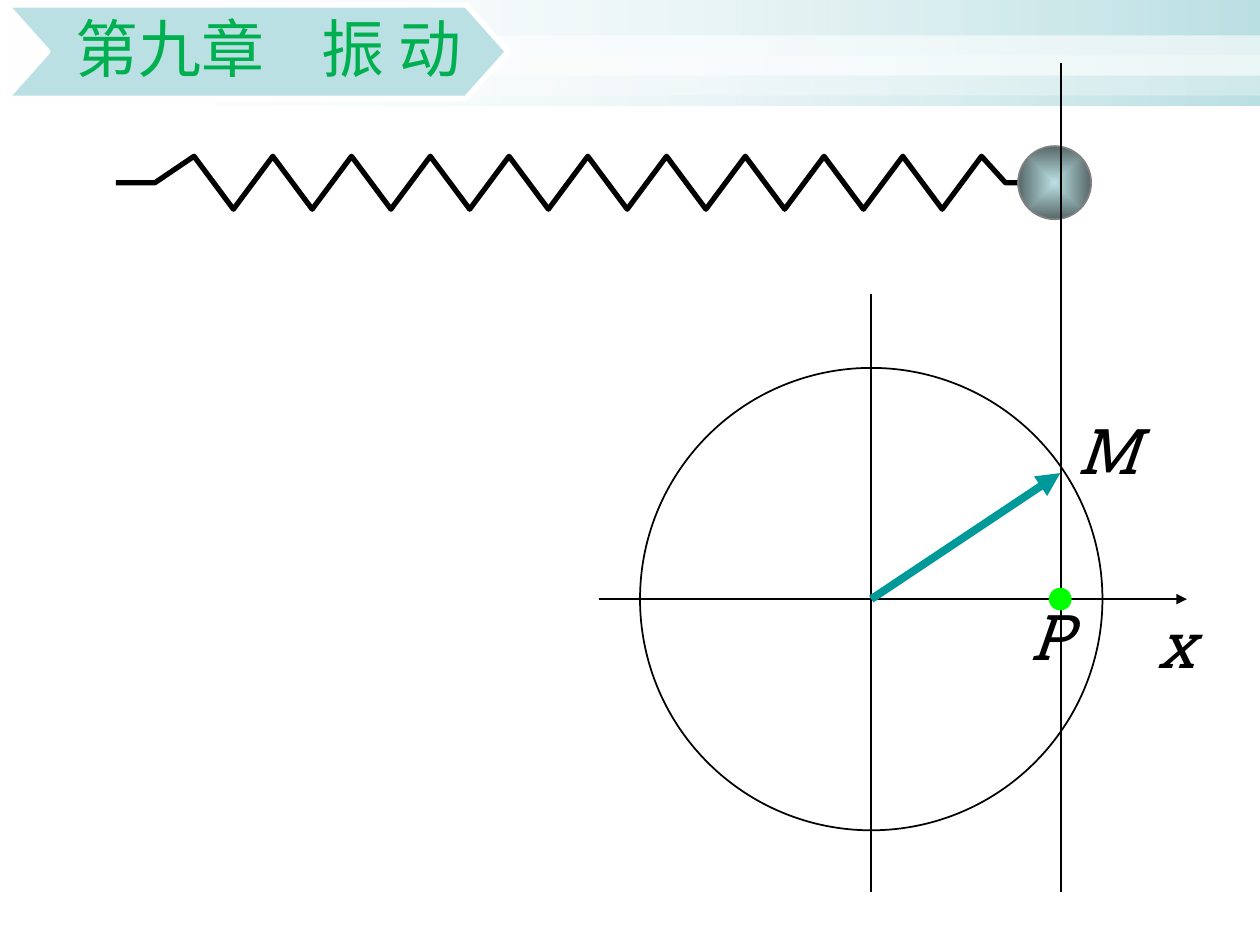
from lxml.etree import SubElement
from pptx import Presentation
from pptx.dml.color import RGBColor
from pptx.enum.shapes import MSO_CONNECTOR as CONN, MSO_SHAPE as SHAPE
from pptx.enum.text import MSO_ANCHOR, MSO_AUTO_SIZE, PP_ALIGN
from pptx.oxml.ns import qn
from pptx.util import Emu, Pt

PX = 9144  # 100 px to the inch
PALE, WHITE, BLACK = "BBE0E3", "FFFFFF", "000000"


def px(v):
    return Emu(round(v * PX))


def rgb(value):
    return RGBColor.from_string(value)


def style(sp, fill=None, line=None, width=1):
    sp.shadow.inherit = False
    if fill:
        sp.fill.solid()
        sp.fill.fore_color.rgb = rgb(fill)
    else:
        sp.fill.background()
    if line:
        sp.line.color.rgb = rgb(line)
        sp.line.width = Pt(width)
    else:
        sp.line.fill.background()


def set_alpha(sp, percents):
    colors = sp.fill._xPr.iterchildren(qn("a:solidFill"), qn("a:gradFill"))
    clrs = [c for fill in colors for c in fill.iter(qn("a:srgbClr"))]
    for clr, pct in zip(clrs, percents):
        SubElement(clr, qn("a:alpha"), val=str(pct * 1000))


def gradient(sp, start, end, from_center=False):
    sp.fill.gradient()
    sp.fill.gradient_angle = 0
    stops = sp.fill.gradient_stops
    for stop, color, pos in zip(stops, (start, end), (0, 1)):
        stop.color.rgb = rgb(color)
        stop.position = pos
    if from_center:
        grad = sp.element.spPr.find(qn("a:gradFill"))
        grad.remove(grad.find(qn("a:lin")))
        way = SubElement(grad, qn("a:path"), {"path": "rect"})
        SubElement(way, qn("a:fillToRect"), l="50000", t="50000", r="50000", b="50000")


def preset(shapes, kind, x, y, w, h, **look):
    sp = shapes.add_shape(kind, px(x), px(y), px(w), px(h))
    style(sp, **look)
    return sp


def outline(shapes, points, close, **look):
    pts = [(px(x), px(y)) for x, y in points]
    fb = shapes.build_freeform(*pts[0])
    fb.add_line_segments(pts[1:], close=close)
    sp = fb.convert_to_shape()
    style(sp, **look)
    return sp


def line(shapes, x1, y1, x2, y2, color=BLACK, width=1, arrow=False):
    cn = shapes.add_connector(CONN.STRAIGHT, px(x1), px(y1), px(x2), px(y2))
    cn.line.color.rgb = rgb(color)
    cn.line.width = Pt(width)
    if arrow:
        SubElement(cn.line._get_or_add_ln(), qn("a:tailEnd"), type="triangle")
    SubElement(cn.element.spPr, qn("a:effectLst"))


def label(shapes, text, x, y, w):
    tf = shapes.add_textbox(px(x), px(y), px(w), px(70)).text_frame
    tf.word_wrap = False
    tf.auto_size = MSO_AUTO_SIZE.SHAPE_TO_FIT_TEXT
    p = tf.paragraphs[0]
    p.text = text
    p.font.size, p.font.name, p.font.italic = Pt(36), "Roboto Slab", True
    p.font.color.rgb = rgb(BLACK)


def header_band(shapes, x, y, w, h):
    band = preset(shapes, SHAPE.RECTANGLE, x, y, w, h)
    gradient(band, WHITE, PALE)
    set_alpha(band, (0, 100))
    for top, opacity in ((28, 60), (44, 31)):
        stripe = preset(shapes, SHAPE.RECTANGLE, x, y + top, w, 32, fill=WHITE)
        set_alpha(stripe, (opacity,))


def spring(shapes, x, y, w, h, peaks=21, pitch=31.25):
    mid = y + h / 2
    zigzag = [(x + 62 + i * pitch, y + h * (i % 2)) for i in range(peaks)]
    points = [(x, mid), (x + 31, mid), *zigzag, (x + w - 19, mid), (x + w, mid)]
    sp = outline(shapes, points, False, line=BLACK, width=3)
    SubElement(sp.line._get_or_add_ln(), qn("a:round"))


def ball_with_guide(shapes, x, y, d):
    group = shapes.add_group_shape().shapes
    ball = preset(group, SHAPE.OVAL, x, y, d, d, line="808080")
    gradient(ball, PALE, "576869", from_center=True)
    line(group, x + 34, y - 66, x + 34, y + 592)


def reference_circle(shapes, x, y, d):
    cx, cy = x + d / 2, y + d / 2
    # Circle and axes
    group = shapes.add_group_shape().shapes
    preset(group, SHAPE.OVAL, x, y, d, d, line=BLACK)
    line(group, x - 33, cy, x + d + 67, cy, arrow=True)
    line(group, cx, y - 59, cx, y + d + 49)
    label(group, "x", x + 401, cy, 47)
    # Rotating vector and its projection
    line(shapes, cx, cy, cx + 150, cy - 100, "009999", 4.5, arrow=True)
    label(shapes, "M", x + 337, y + 30, 63)
    label(shapes, "P", x + 300, cy - 6, 50)
    preset(shapes, SHAPE.OVAL, cx + 141.5, cy - 8.5, 17, 17,
           fill="00FF00", line="00FF00", width=0.75)


def chapter_banner(shapes, x, y, w, h, text):
    notch, mid = 33, y + h / 2
    points = [(x, y), (x + w - notch, y), (x + w, mid),
              (x + w - notch, y + h), (x, y + h), (x + notch, mid)]
    sp = outline(shapes, points, True, fill=PALE, line=WHITE, width=3)
    tf = sp.text_frame
    tf.word_wrap = True
    tf.vertical_anchor = MSO_ANCHOR.MIDDLE
    tf.margin_left, tf.margin_right = px(42), px(37)
    tf.margin_top = tf.margin_bottom = px(3)
    p = tf.paragraphs[0]
    p.text = text
    p.alignment, p.line_spacing, p.space_after = PP_ALIGN.RIGHT, 0.9, Pt(15.8)
    p.font.size, p.font.name = Pt(36), "Calibri"
    p.font.color.rgb = rgb("00B050")


def main():
    prs = Presentation()
    prs.slide_width, prs.slide_height = px(1000), px(750)
    s = prs.slides.add_slide(prs.slide_layouts[6])
    header_band(s.shapes, 0, 0, 1000, 84)
    spring(s.shapes, 92, 124, 725, 42)
    ball_with_guide(s.shapes, 808, 116, 58)
    reference_circle(s.shapes, 508, 292, 367)
    chapter_banner(s.shapes, 5, 4, 398, 74, "第九章    振 动")
    prs.save("out.pptx")


if __name__ == "__main__":
    main()
